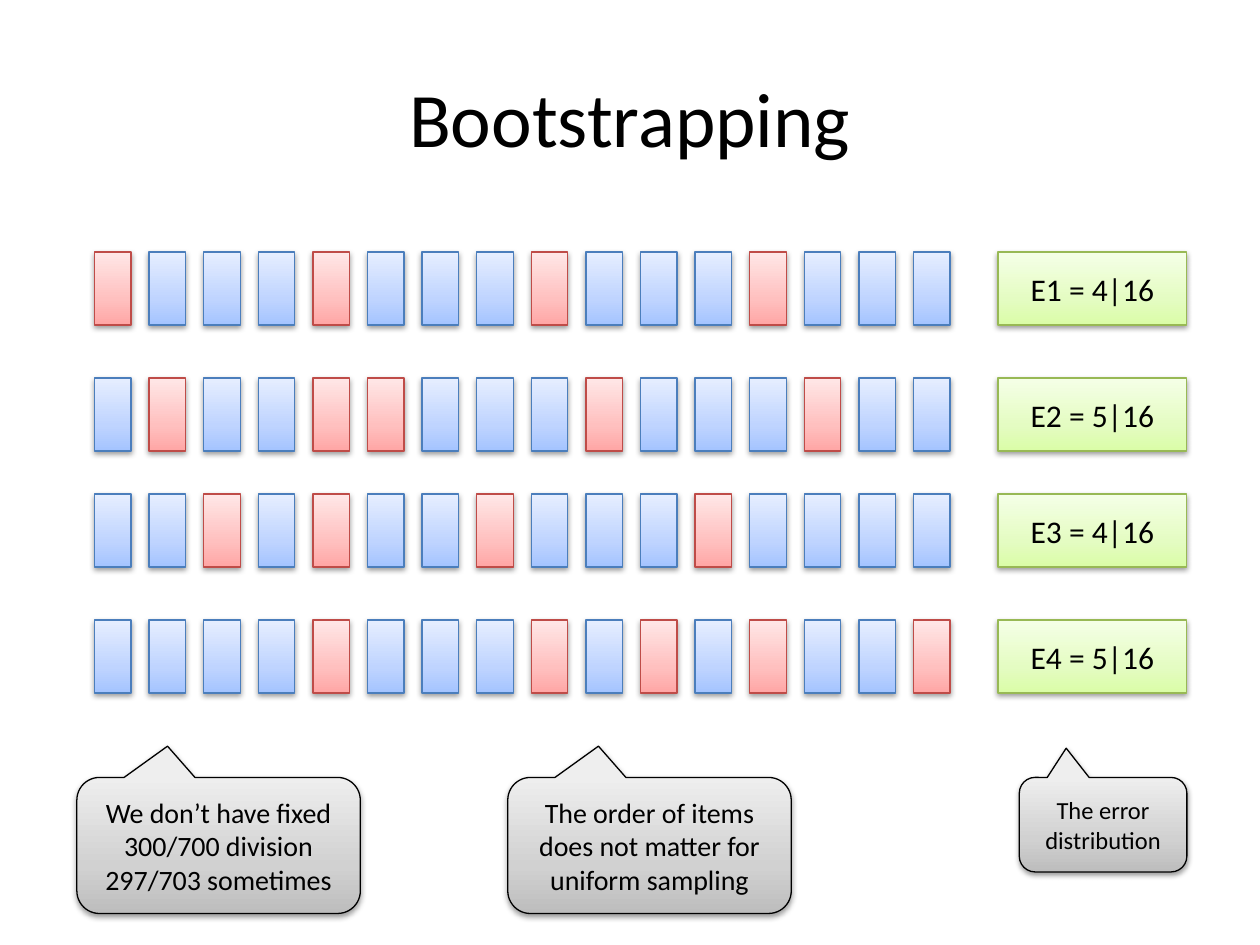
from copy import deepcopy

from lxml.etree import SubElement
from pptx import Presentation
from pptx.dml.color import RGBColor
from pptx.enum.shapes import MSO_SHAPE as Preset
from pptx.enum.text import MSO_ANCHOR as Anchor, PP_ALIGN as Align
from pptx.oxml.ns import qn
from pptx.util import Inches, Pt

# Content: each row has its items (T = test, L = learning) and its error
TITLE = "Bootstrapping"
ROWS = [
    (2.00, "TLLLTLLLTLLLTLLL", "E1 = 4|16"),
    (3.00, "LTLLTTLLLTLLLTLL", "E2 = 5|16"),
    (3.92, "LLTLTLLTLLLTLLLL", "E3 = 4|16"),
    (4.92, "LLLLTLLLTLTLTLLT", "E4 = 5|16"),
]
# Left, width, height, pointer position, text size, paragraphs
CALLOUTS = [
    (0.61, 2.25, 1.08, (-0.18, -0.73), "note",
     ["We don’t have fixed 300/700 division", "297/703 sometimes"]),
    (4.03, 2.25, 1.08, (-0.18, -0.73), "note",
     ["The order of items does not matter for uniform sampling"]),
    (8.09, 1.33, 0.75, (-0.22, -0.81), "small_note", ["The error distribution"]),
]

THEME = {
    "font": "Calibri",
    "text": "000000",
    "sizes": {"title": 44, "error": 18, "note": 16, "small_note": 14},
    "line_width": 0.75,
    "stops": (0, 0.35, 1),
    # Gradient colours from bottom to top, then the outline
    "test": (("FFA6A5", "FFC0BF", "FFE7E7"), "BF4C48"),
    "learning": (("A4C4FF", "BFD4FF", "E6EEFF"), "4B7EBC"),
    "error": (("DAFDA7", "E4FCC2", "F5FFE7"), "98B955"),
    "callout": (("BDBDBD", "D1D1D1", "EEEEEE"), "000000"),
}

# Layout
FIRST_ITEM, LAST_ITEM = 0.75, 7.25
ITEM_WIDTH, ROW_HEIGHT = 0.29, 0.58
ERROR_LEFT, ERROR_WIDTH = 7.92, 1.5
CALLOUT_TOP = 6.17


def write(box, paragraphs, size):
    frame = box.text_frame
    frame.word_wrap = True
    frame.vertical_anchor = Anchor.MIDDLE
    for index, text in enumerate(paragraphs):
        para = frame.add_paragraph() if index else frame.paragraphs[0]
        para.alignment = Align.CENTER
        span = para.add_run()
        span.text = text
        span.font.name = THEME["font"]
        span.font.size = Pt(THEME["sizes"][size])
        span.font.color.rgb = RGBColor.from_string(THEME["text"])


def fill_gradient(box, colours):
    box.fill.gradient()
    box.fill.gradient_angle = 90
    stop_list = box._element.spPr.find(".//" + qn("a:gsLst"))
    stop_list.append(deepcopy(stop_list[0]))
    for stop, position, colour in zip(box.fill.gradient_stops, THEME["stops"], colours):
        stop.position = position
        stop.color.rgb = RGBColor.from_string(colour)


def add_shadow(box):
    box.shadow.inherit = False
    effects = box._element.spPr.find(qn("a:effectLst"))
    shadow = SubElement(effects, qn("a:outerShdw"), blurRad="40000", dist="20000",
                        dir="5400000", rotWithShape="0")
    colour = SubElement(shadow, qn("a:srgbClr"), val="000000")
    SubElement(colour, qn("a:alpha"), val="38000")


def add_box(page, preset, left, top, width, height, style):
    box = page.shapes.add_shape(
        preset, Inches(left), Inches(top), Inches(width), Inches(height))
    colours, outline = THEME[style]
    fill_gradient(box, colours)
    box.line.color.rgb = RGBColor.from_string(outline)
    box.line.width = Pt(THEME["line_width"])
    add_shadow(box)
    return box


def main():
    deck = Presentation()
    deck.slide_width, deck.slide_height = Inches(10), Inches(7.5)
    page = deck.slides.add_slide(deck.slide_layouts[5])

    # Title
    title = page.shapes.title
    title.left, title.top = Inches(0.5), Inches(0.3)
    title.width, title.height = Inches(9), Inches(1.25)
    write(title, [TITLE], "title")

    # Sample rows with their errors
    for top, items, error in ROWS:
        pitch = (LAST_ITEM - FIRST_ITEM) / (len(items) - 1)
        for index, item in enumerate(items):
            style = "test" if item == "T" else "learning"
            add_box(page, Preset.RECTANGLE, FIRST_ITEM + index * pitch, top,
                    ITEM_WIDTH, ROW_HEIGHT, style)
        error_box = add_box(page, Preset.RECTANGLE, ERROR_LEFT, top,
                            ERROR_WIDTH, ROW_HEIGHT, "error")
        write(error_box, [error], "error")

    # Callouts
    for left, width, height, pointer, size, paragraphs in CALLOUTS:
        callout = add_box(page, Preset.ROUNDED_RECTANGULAR_CALLOUT, left, CALLOUT_TOP,
                          width, height, "callout")
        callout.adjustments[0], callout.adjustments[1] = pointer
        write(callout, paragraphs, size)

    deck.save("out.pptx")


if __name__ == "__main__":
    main()
